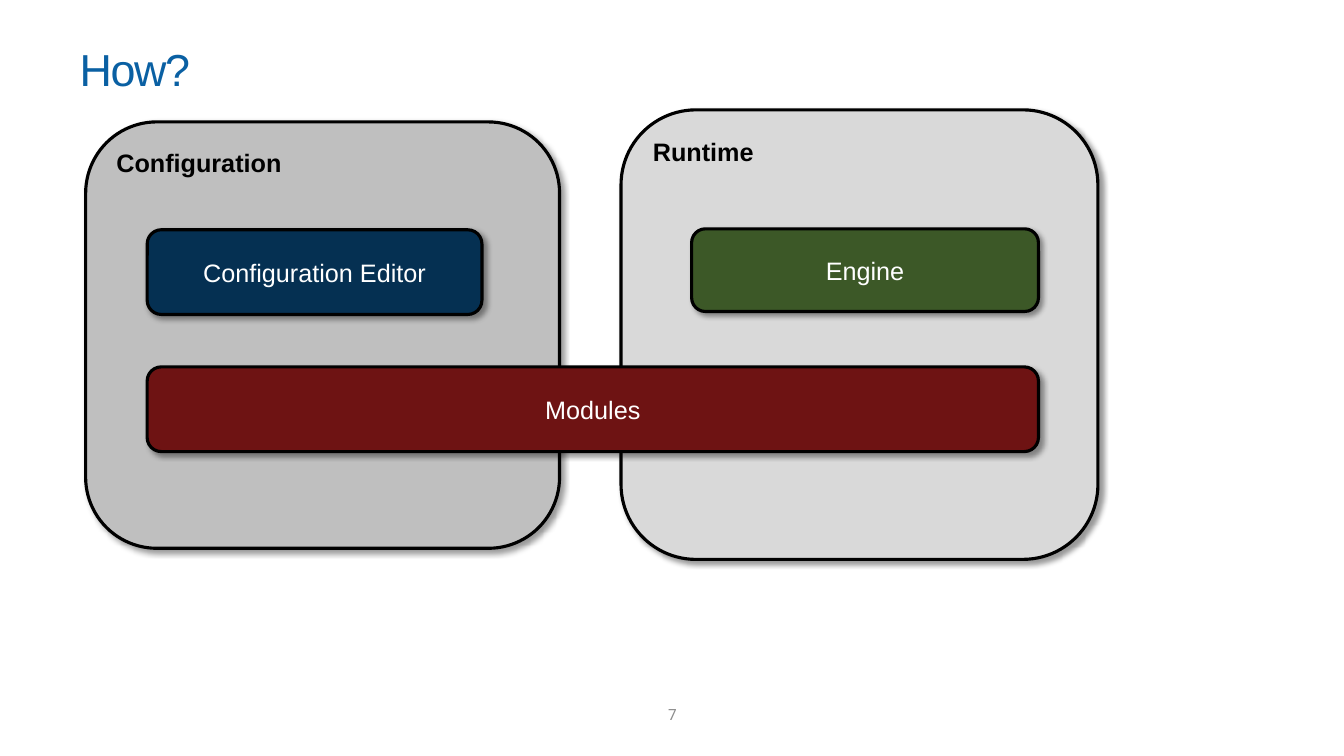
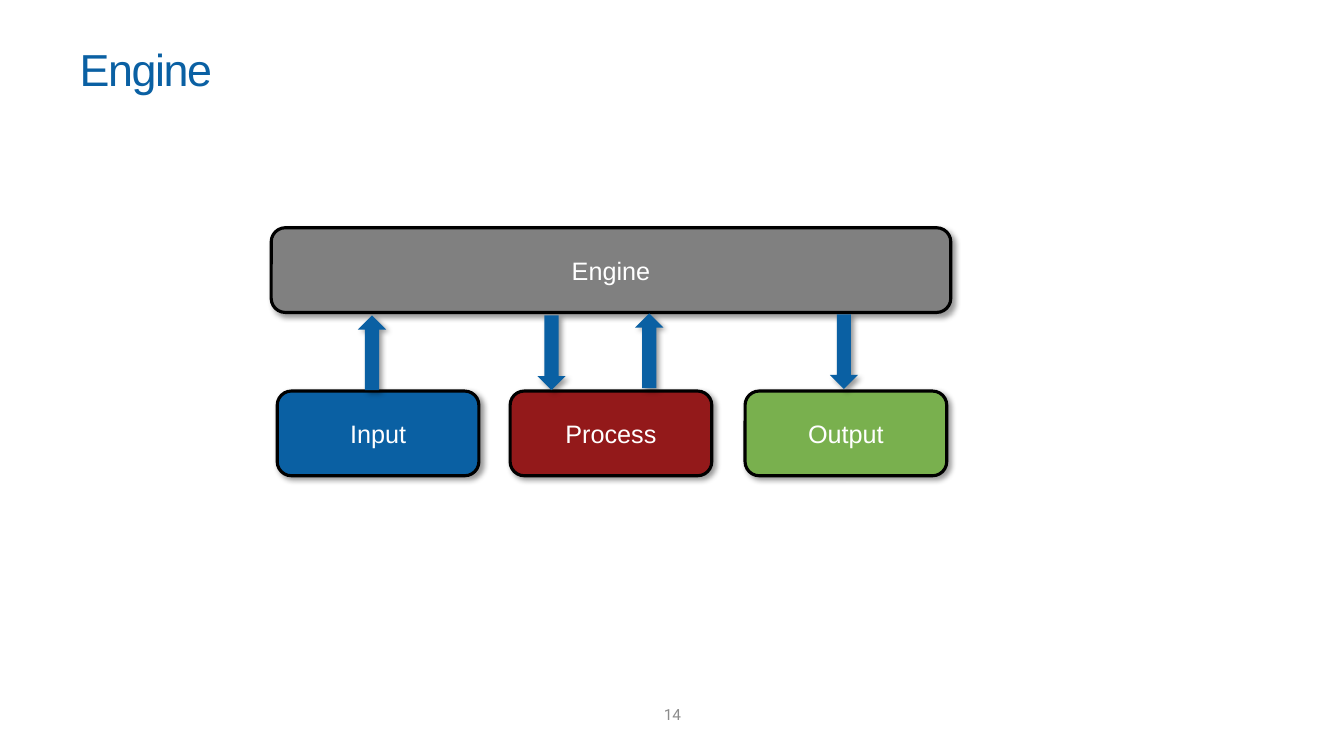
from dataclasses import dataclass

import lxml.etree
import pptx
import pptx.dml.color
import pptx.enum.shapes
import pptx.enum.text
import pptx.oxml.ns
import pptx.presentation
import pptx.shapes.autoshape
import pptx.slide
import pptx.util

Align = pptx.enum.text.PP_ALIGN
Anchor = pptx.enum.text.MSO_ANCHOR
Preset = pptx.enum.shapes.MSO_SHAPE
Shape = pptx.shapes.autoshape.Shape

EMU_PER_PX = 9144  # 100 px to the inch
SLIDE_WIDTH, SLIDE_HEIGHT = 1333, 750

COLORS = {
    "blue": "0A60A3",
    "navy": "053052",
    "forest": "3C5827",
    "green": "79B04E",
    "maroon": "6E1313",
    "red": "93191A",
    "gray": "808080",
    "silver": "BFBFBF",
    "light": "D9D9D9",
    "footer": "8C8C8C",
    "black": "000000",
    "white": "FFFFFF",
}

BOX_HEIGHT = 84
STEP_WIDTH = 200
ARROW_WIDTH, ARROW_HEIGHT = 28, 74


@dataclass(frozen=True)
class Box:
    """A rounded box; a panel has its bold heading at the top left."""
    text: str
    color: str
    left: int
    top: int
    width: int
    height: int = BOX_HEIGHT
    panel: bool = False


@dataclass(frozen=True)
class Arrow:
    left: int
    top: int
    down: bool = False


@dataclass(frozen=True)
class Page:
    title: str
    number: int
    boxes: tuple[Box, ...]
    arrows: tuple[Arrow, ...] = ()


PAGES = (
    Page("How?", 7, (
        Box("Configuration", "silver", 85, 121, 470, 423, panel=True),
        Box("Runtime", "light", 616, 109, 473, 446, panel=True),
        Box("Engine", "forest", 686, 227, 344, 82),
        Box("Configuration Editor", "navy", 146, 228, 332),
        Box("Modules", "maroon", 146, 364, 884),
    )),
    Page("Engine", 14, (
        Box("Input", "blue", 275, 388, STEP_WIDTH),
        Box("Process", "red", 506, 388, STEP_WIDTH),
        Box("Output", "green", 739, 388, STEP_WIDTH),
        Box("Engine", "gray", 269, 226, 674),
    ), (
        Arrow(355, 313),
        Arrow(823, 312, down=True),
        Arrow(533, 313, down=True),
        Arrow(630, 311),
    )),
)


def px(length: int) -> pptx.util.Emu:
    return pptx.util.Emu(length * EMU_PER_PX)


def rgb(color: str) -> pptx.dml.color.RGBColor:
    return pptx.dml.color.RGBColor.from_string(COLORS[color])


def write(shape: Shape, text: str, *, size: int = 18, color: str = "white",
          font: str = "Arial", bold: bool = False, align: Align = Align.CENTER,
          anchor: Anchor = Anchor.MIDDLE, spacing: int = 0) -> None:
    """Put one line of text in a shape; spacing is in points."""
    frame = shape.text_frame
    frame.word_wrap = True
    frame.vertical_anchor = anchor
    para = frame.paragraphs[0]
    para.alignment = align
    span = para.add_run()
    span.text = text
    span.font.name = font
    span.font.size = pptx.util.Pt(size)
    span.font.bold = bold
    span.font.color.rgb = rgb(color)
    if spacing:
        span.font._element.set("spc", str(spacing * 100))


def add_shadow(shape: Shape) -> None:
    """Give a shape a soft shadow towards the lower right."""
    shape.shadow.inherit = False
    qn = pptx.oxml.ns.qn
    effects = shape._element.spPr.find(qn("a:effectLst"))
    shadow = lxml.etree.SubElement(
        effects, qn("a:outerShdw"), blurRad=str(pptx.util.Pt(4)),
        dist=str(pptx.util.Pt(3)), dir=str(45 * 60000), algn="tl", rotWithShape="0")
    tint = lxml.etree.SubElement(shadow, qn("a:srgbClr"), val=COLORS["black"])
    lxml.etree.SubElement(tint, qn("a:alpha"), val="40000")


def add_solid(slide: pptx.slide.Slide, preset: Preset, color: str,
              left: int, top: int, width: int, height: int) -> Shape:
    shape = slide.shapes.add_shape(preset, px(left), px(top), px(width), px(height))
    shape.fill.solid()
    shape.fill.fore_color.rgb = rgb(color)
    shape.line.fill.background()
    add_shadow(shape)
    return shape


def add_box(slide: pptx.slide.Slide, box: Box) -> None:
    shape = add_solid(slide, Preset.ROUNDED_RECTANGLE, box.color,
                      box.left, box.top, box.width, box.height)
    shape.line.color.rgb = rgb("black")
    shape.line.width = pptx.util.Pt(2.25)
    if box.panel:
        write(shape, box.text, color="black", bold=True,
              align=Align.LEFT, anchor=Anchor.TOP)
    else:
        write(shape, box.text)


def add_arrow(slide: pptx.slide.Slide, arrow: Arrow) -> None:
    shape = add_solid(slide, Preset.UP_ARROW, "blue",
                      arrow.left, arrow.top, ARROW_WIDTH, ARROW_HEIGHT)
    shape.rotation = 180 if arrow.down else 0


def add_text_box(slide: pptx.slide.Slide, left: int, top: int,
                 width: int, height: int) -> Shape:
    return slide.shapes.add_textbox(px(left), px(top), px(width), px(height))


def add_page(deck: pptx.presentation.Presentation, page: Page) -> None:
    slide = deck.slides.add_slide(deck.slide_layouts[6])
    write(add_text_box(slide, 641, 694, 52, 30), str(page.number),
          size=11, color="footer", font="Roboto")
    for box in page.boxes:
        add_box(slide, box)
    for arrow in page.arrows:
        add_arrow(slide, arrow)
    write(add_text_box(slide, 69, 16, 1191, 105), page.title,
          size=32, color="blue", align=Align.LEFT, spacing=-1)


def main() -> None:
    deck = pptx.Presentation()
    deck.slide_width = px(SLIDE_WIDTH)
    deck.slide_height = px(SLIDE_HEIGHT)
    for page in PAGES:
        add_page(deck, page)
    deck.save("out.pptx")


if __name__ == "__main__":
    main()
